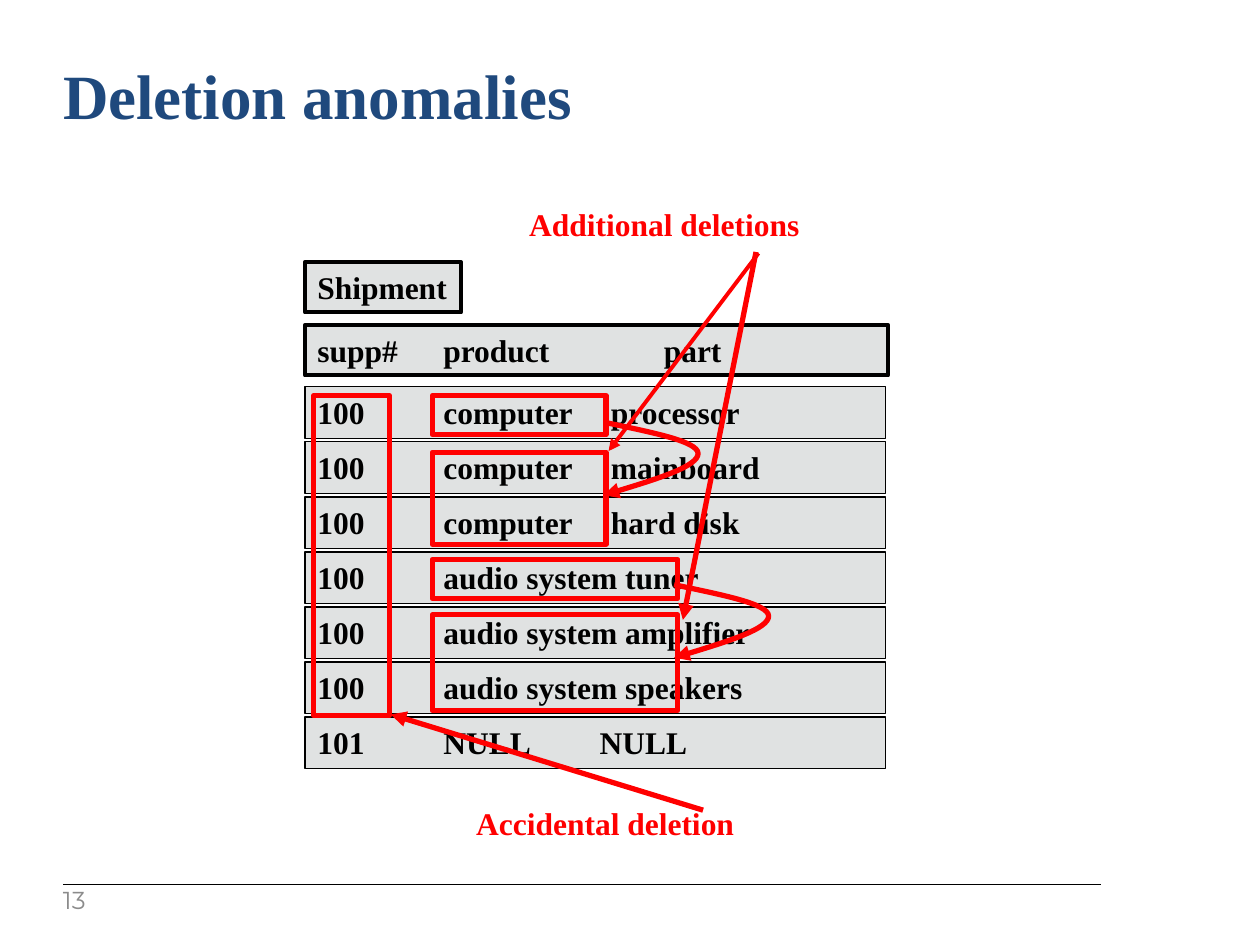
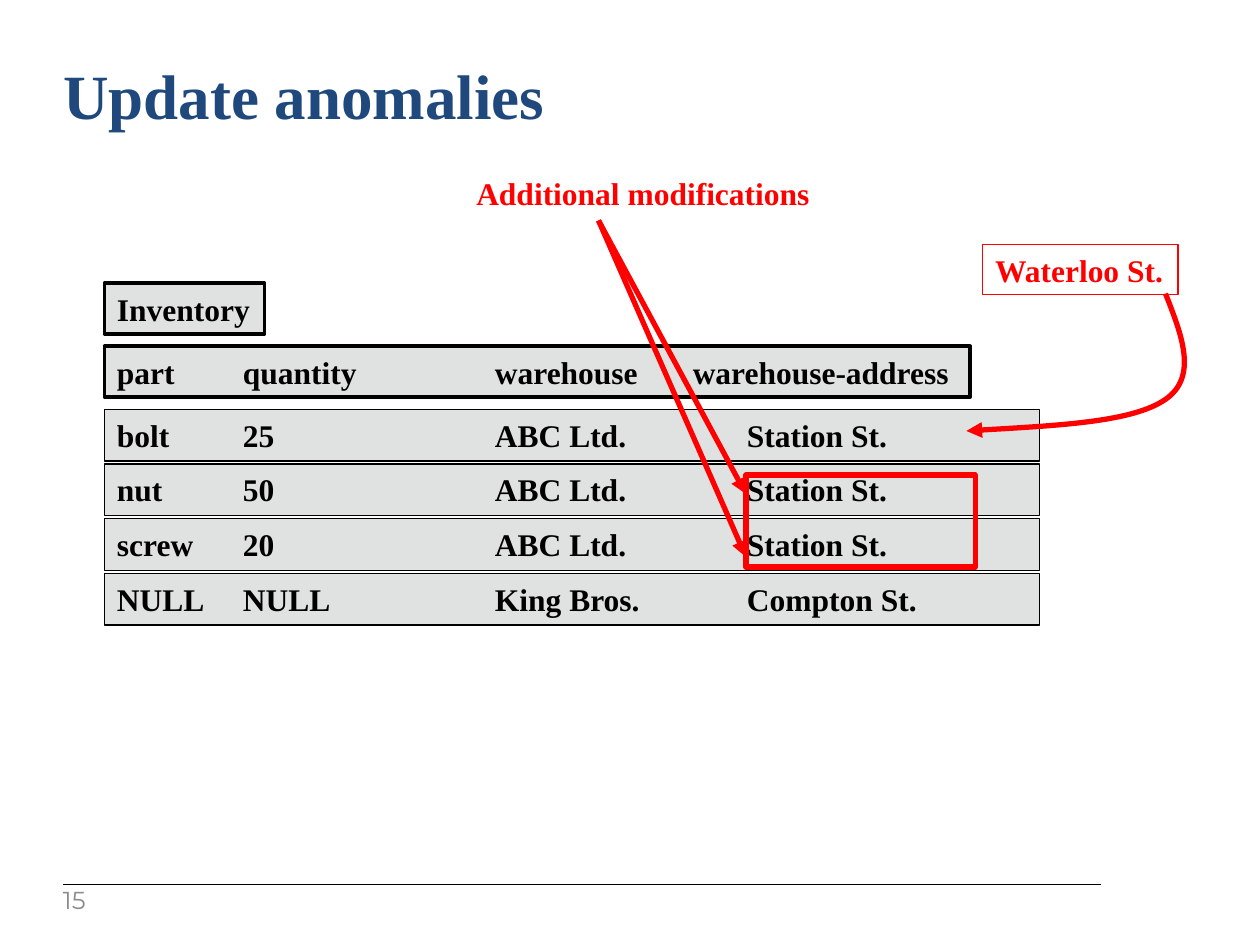
from lxml import etree
from pptx import Presentation
from pptx.dml.color import RGBColor
from pptx.enum.shapes import MSO_CONNECTOR, MSO_SHAPE
from pptx.enum.text import MSO_ANCHOR, MSO_AUTO_SIZE, PP_ALIGN
from pptx.oxml.ns import qn
from pptx.util import Inches, Pt

RECTANGLE = MSO_SHAPE.RECTANGLE
STRAIGHT = MSO_CONNECTOR.STRAIGHT
TOP, MIDDLE = MSO_ANCHOR.TOP, MSO_ANCHOR.MIDDLE
LEFT = PP_ALIGN.LEFT
NO_AUTOFIT = MSO_AUTO_SIZE.NONE

COLORS = {
    "title": "1F497D",
    "number": "8B8B8B",
    "text": "000000",
    "cell": "E0E2E2",
    "mark": "FF0000",
}
SERIF, SANS = "Times New Roman", "Montserrat"
BOX_MARGINS = (0.1, 0.05, 0.1, 0.05)
CALLOUT_MARGINS = (0.2, 0.05, 0.2, 0.05)
HEADING_MARGINS = (0, 0, 0.1, 0.05)
BOX_HEIGHT = 0.41


def rgb(name):
    return RGBColor.from_string(COLORS[name])


def inches(values):
    return [Inches(value) for value in values]


def write_text(shape, text, size=18, color="text", font=SERIF, bold=True,
               margins=BOX_MARGINS, anchor=TOP, wrap=True, tabs=()):
    frame = shape.text_frame
    frame.auto_size = NO_AUTOFIT
    frame.word_wrap = wrap
    frame.vertical_anchor = anchor
    (frame.margin_left, frame.margin_top,
     frame.margin_right, frame.margin_bottom) = inches(margins)
    paragraph = frame.paragraphs[0]
    paragraph.alignment = LEFT
    if tabs:
        properties = paragraph._p.get_or_add_pPr()
        tab_list = etree.SubElement(properties, qn("a:tabLst"))
        for position in tabs:
            etree.SubElement(tab_list, qn("a:tab"),
                             pos=str(Inches(position)), algn="l")
    run = paragraph.add_run()
    run.text = text
    run.font.name = font
    run.font.size = Pt(size)
    run.font.bold = bold
    run.font.color.rgb = rgb(color)


def style_line(shape, color, width, arrow=False):
    shape.line.color.rgb = rgb(color)
    shape.line.width = Pt(width)
    if arrow:
        outline = shape.element.spPr.find(qn("a:ln"))
        etree.SubElement(outline, qn("a:tailEnd"), type="triangle")


def add_box(slide, bounds, color="text", width=0.75, fill=None):
    shape = slide.shapes.add_shape(RECTANGLE, *inches(bounds))
    shape.shadow.inherit = False
    if fill:
        shape.fill.solid()
        shape.fill.fore_color.rgb = rgb(fill)
    else:
        shape.fill.background()
    style_line(shape, color, width)
    return shape


def add_mark(slide, *bounds):
    add_box(slide, bounds, color="mark", width=3)


def add_callout(slide, text, *bounds):
    write_text(slide.shapes.add_textbox(*inches(bounds)), text,
               color="mark", margins=CALLOUT_MARGINS)


def add_line(slide, start, end, color="mark", width=3, arrow=True):
    connector = slide.shapes.add_connector(STRAIGHT, *inches(start + end))
    style_line(connector, color, width, arrow)
    etree.SubElement(connector.element.spPr, qn("a:effectLst"))


def add_curved_arrow(slide, start, *points):
    """Draw Bezier curves: two control points and an end point for each."""
    builder = slide.shapes.build_freeform(*inches(start))
    builder.add_line_segments([inches(point) for point in points], close=False)
    shape = builder.convert_to_shape()
    outline = next(shape.element.iter(qn("a:path")))
    segments = outline.findall(qn("a:lnTo"))
    for index in range(0, len(segments), 3):
        curve = etree.SubElement(outline, qn("a:cubicBezTo"))
        for segment in segments[index:index + 3]:
            curve.append(segment[0])
            outline.remove(segment)
    shape.shadow.inherit = False
    shape.fill.background()
    style_line(shape, "mark", 3, arrow=True)


def add_bend(slide, left, top):
    """Draw the bow that leads from one product to its other rows."""
    offsets = [(0, 0), (0.37, 0.08), (0.75, 0.15), (0.75, 0.25),
               (0.75, 0.35), (0.37, 0.47), (0, 0.58)]
    add_curved_arrow(slide, *[(left + x, top + y) for x, y in offsets])


def add_relation(slide, left, name, name_width, name_top, header, header_width,
                 header_tabs, rows, row_width, first_top, last_top):
    """Draw a relation: its name, its header and evenly spaced rows."""
    name_box = add_box(slide, (left, name_top, name_width, 0.4),
                       width=2.25, fill="cell")
    write_text(name_box, name, wrap=False)
    header_box = add_box(slide, (left, name_top + 0.5, header_width, 0.4),
                         width=2.25, fill="cell")
    write_text(header_box, header, tabs=header_tabs)
    pitch = (last_top - first_top) / (len(rows) - 1)
    for index, (text, tabs) in enumerate(rows):
        row_box = add_box(slide, (left, first_top + index * pitch,
                                  row_width, BOX_HEIGHT), fill="cell")
        write_text(row_box, text, tabs=tabs)


def add_slide(presentation, title, number):
    slide = presentation.slides.add_slide(presentation.slide_layouts[5])
    heading = slide.shapes.title
    heading.left, heading.top, heading.width, heading.height = inches(
        (0.5, 0.45, 7.96, 0.92))
    write_text(heading, title, size=36, color="title", margins=HEADING_MARGINS)
    # Footer rule and slide number
    add_line(slide, (0.5, 7.02), (8.74, 7.02), "text", 0.75, arrow=False)
    number_box = slide.shapes.add_textbox(*inches((0.5, 7.06, 0.4, 0.21)))
    write_text(number_box, number, size=14, color="number", font=SANS,
               bold=False, margins=HEADING_MARGINS, anchor=MIDDLE)
    return slide


def build_deletion_slide(presentation):
    slide = add_slide(presentation, "Deletion anomalies", "13")
    part_tabs = (1, 2.33)
    rows = [
        ("100\tcomputer\tprocessor", part_tabs),
        ("100\tcomputer\tmainboard", part_tabs),
        ("100\tcomputer\thard disk", part_tabs),
        ("100\taudio system tuner", part_tabs),
        ("100\taudio system amplifier", part_tabs),
        ("100\taudio system speakers", part_tabs),
        ("101\tNULL\tNULL", (1, 2.24)),
    ]
    add_relation(slide, 2.42, "Shipment", 1.24, 2.08,
                 "supp#\tproduct\tpart", 4.63, (1, 2.75),
                 rows, 4.61, first_top=3.07, last_top=5.69)

    # Additional deletions
    add_callout(slide, "Additional deletions", 4, 1.58, 4, 0.4)
    add_line(slide, (6, 2), (5.42, 4.92))
    add_line(slide, (6.02, 2.01), (4.83, 3.58), width=2.25)
    add_mark(slide, 3.43, 3.14, 1.38, 0.31)
    add_mark(slide, 3.43, 3.59, 1.38, 0.73)
    add_bend(slide, 4.79, 3.35)
    add_mark(slide, 3.43, 4.44, 1.95, 0.31)
    add_mark(slide, 3.43, 4.88, 1.95, 0.76)
    add_bend(slide, 5.35, 4.64)

    # Accidental deletion
    add_mark(slide, 2.49, 3.14, 0.6, 2.54)
    add_callout(slide, "Accidental deletion", 3.58, 6.33, 3.67, 0.4)
    add_line(slide, (5.58, 6.43), (3.1, 5.67))


def build_update_slide(presentation):
    slide = add_slide(presentation, "Update anomalies", "15")
    row_tabs = (1, 3, 5)
    rows = [
        ("bolt\t25\tABC Ltd.\tStation St.", row_tabs),
        ("nut\t50\tABC Ltd.\tStation St.", row_tabs),
        ("screw\t20\tABC Ltd.\tStation St.", row_tabs),
        ("NULL\tNULL\tKing Bros.\tCompton St.", row_tabs),
    ]
    add_relation(slide, 0.83, "Inventory", 1.27, 2.25,
                 "part\tquantity\twarehouse\twarehouse-address", 6.87,
                 (1, 3, 4.57), rows, 7.42, first_top=3.25, last_top=4.55)

    # Additional modifications
    add_callout(slide, "Additional modifications", 3.58, 1.33, 5.75, 0.4)
    add_mark(slide, 5.92, 3.77, 1.82, 0.73)
    for target_top in (3.92, 4.42):
        add_line(slide, (4.75, 1.75), (5.92, target_top))

    # New address
    address = add_box(slide, (7.8, 1.94, 1.55, 0.4), color="mark")
    write_text(address, "Waterloo St.", color="mark", wrap=False)
    add_curved_arrow(slide, (9.25, 2.33), (9.38, 2.66), (9.51, 2.99),
                     (9.25, 3.17), (8.99, 3.35), (8.33, 3.38), (7.67, 3.42))


def main():
    presentation = Presentation()
    presentation.slide_width = Inches(10)
    presentation.slide_height = Inches(7.5)
    build_deletion_slide(presentation)
    build_update_slide(presentation)
    presentation.save("out.pptx")


if __name__ == "__main__":
    main()
